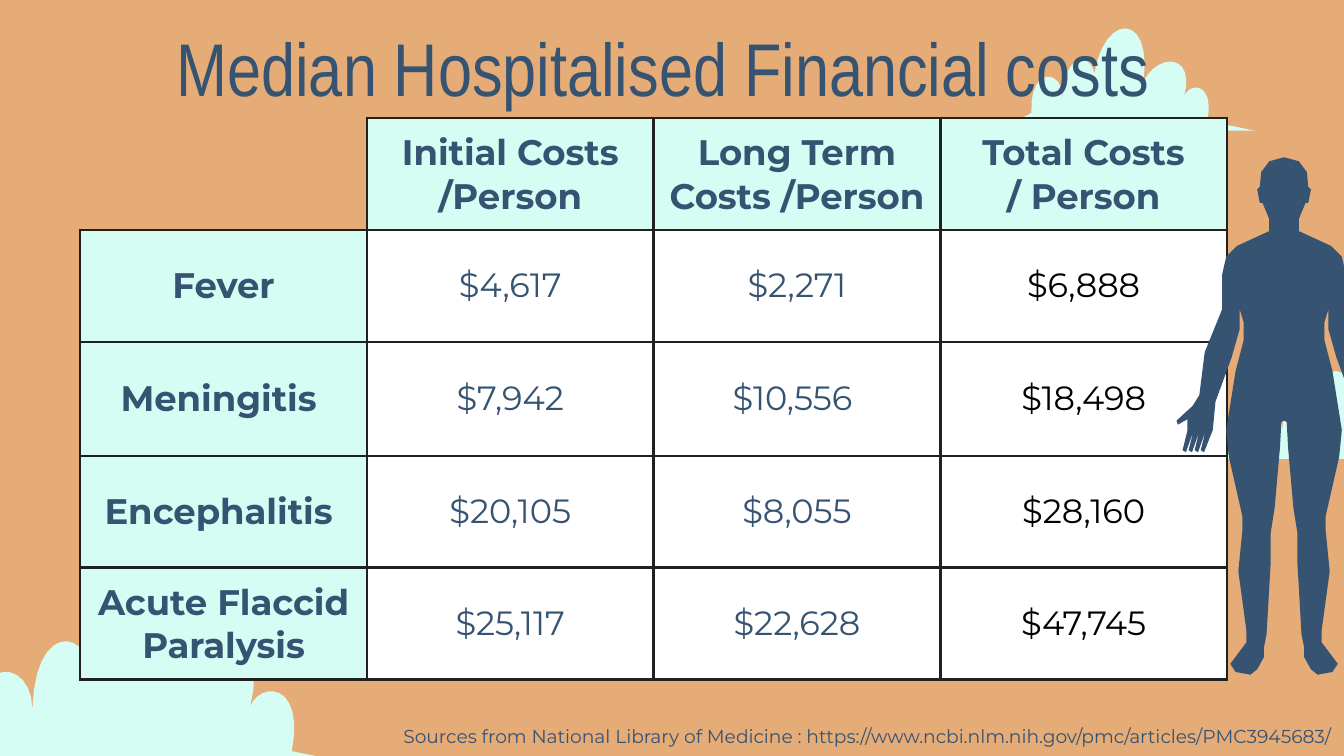
from lxml.etree import SubElement as Sub
from pptx import Presentation
from pptx.dml.color import RGBColor as RGB
from pptx.enum.text import MSO_ANCHOR as Anchor, PP_ALIGN as Align
from pptx.oxml.ns import qn
from pptx.util import Pt

THEME = {
    "sand": "E5AC77", "mint": "D6FDF4", "navy": "365372",
    "white": "FFFFFF", "black": "000000", "line": "212121",
    "head": "Arial Narrow", "body": "Montserrat",
    "title": 40, "label": 19, "value": 18, "note": 10,
}
TITLE = "Median Hospitalised Financial costs"
NOTE = ("Sources from National Library of Medicine : "
        "https://www.ncbi.nlm.nih.gov/pmc/articles/PMC3945683/")
ROWS = [
    ["", "Initial Costs\n/Person", "Long Term Costs /Person", "Total Costs\n/ Person"],
    ["Fever", "$4,617", "$2,271", "$6,888"],
    ["Meningitis ", "$7,942", "$10,556 ", "$18,498"],
    ["Encephalitis ", "$20,105", "$8,055", "$28,160"],
    ["Acute Flaccid Paralysis", "$25,117", "$22,628", "$47,745"],
]
TALL = [52.6, 59.8, 61.2, 59.8, 59.8]
WIDE = 153.6
PAD = Pt(7.2)

CLOUDS = [(648.7, 198.7, 126.7), (524.9, 15.1, 147.6), (-62.6, 313.2, 265)]
SPAN = 368
BASE = 137
DOMES = [
    (20, 132, 52, 124, 69, 113), (66, 50, 111, 55, 111, 93),
    (113, 28, 150, 35, 153, 61), (166, -20, 230, -23, 219, 70),
    (240, 32, 288, 35, 273, 91), (280, 72, 314, 72, 304, 124),
]

AXIS = 687.9
UNIT = 0.72
ARM = [
    (0, 117), (11, 120), (17, 128), (18, 139), (20, 141), (18, 151), (16, 151),
    (11, 163), (11, 172), (35, 183), (43, 191), (46, 204), (46, 230), (59, 262),
    (63, 294), (68, 302), (80, 313), (79, 316), (72, 312),
]
LEG = [
    (53, 320), (51, 299), (39, 266), (33, 245), (33, 230), (30, 240), (30, 253),
    (36, 276), (43, 320), (41, 340), (31, 384), (31, 395), (34, 425), (28, 469),
    (28, 478), (40, 494), (36, 500), (25, 502), (20, 498), (15, 489), (15, 482),
    (13, 472), (10, 420), (10, 397), (7, 378), (3, 333), (2, 314), (0, 313),
]
HAND = [(x - 4.5 * k, y) for k in range(4)
        for x, y in ((72, 321), (75.5, 335), (73, 336.5))]
HALF = ARM + HAND + LEG


def paint(fmt, key):
    fmt.solid()
    fmt.fore_color.rgb = RGB.from_string(THEME[key])


def bend(start, curves, steps=12):
    dots = [start]
    for ax, ay, bx, by, cx, cy in curves:
        px, py = dots[-1]
        for k in range(1, steps + 1):
            t = k / steps
            u = 1 - t
            mix = (u ** 3, 3 * u * u * t, 3 * u * t * t, t ** 3)
            dots.append((sum(m * v for m, v in zip(mix, (px, ax, bx, cx))),
                         sum(m * v for m, v in zip(mix, (py, ay, by, cy)))))
    return dots


def outline(slide, dots, left, top, scale, key):
    spots = [(Pt(left + x * scale), Pt(top + y * scale)) for x, y in dots]
    pen = slide.shapes.build_freeform(*spots[0])
    pen.add_line_segments(spots[1:], close=True)
    shape = pen.convert_to_shape()
    shape.shadow.inherit = False
    paint(shape.fill, key)
    shape.line.fill.background()


def inset(box):
    box.vertical_anchor = Anchor.MIDDLE
    box.margin_left = box.margin_right = PAD
    box.margin_top = box.margin_bottom = PAD


def write(frame, text, face, size, key="navy", align=Align.CENTER, bold=False):
    frame.word_wrap = True
    frame.text = text
    for para in frame.paragraphs:
        para.alignment = align
        para.font.name = THEME[face]
        para.font.size = Pt(THEME[size])
        para.font.bold = bold
        paint(para.font.fill, key)


def place(shape, *area):
    shape.left, shape.top, shape.width, shape.height = map(Pt, area)
    inset(shape.text_frame)
    return shape.text_frame


def border(cell, bare):
    props = cell._tc.get_or_add_tcPr()
    for n, side in enumerate(("lnL", "lnR", "lnT", "lnB")):
        edge = props.makeelement(qn("a:" + side), {"w": str(Pt(1.5))})
        props.insert(n, edge)
        if side in bare:
            Sub(edge, qn("a:noFill"))
        else:
            fill = Sub(edge, qn("a:solidFill"))
            Sub(fill, qn("a:srgbClr"), val=THEME["line"])


def grid(slide):
    table = slide.shapes.add_table(len(ROWS), len(ROWS[0]), Pt(43), Pt(63.3),
                                   Pt(WIDE * len(ROWS[0])), Pt(sum(TALL))).table
    table.first_row = table.horz_banding = False
    for col in table.columns:
        col.width = Pt(WIDE)
    for r, (row, tall) in enumerate(zip(ROWS, TALL)):
        table.rows[r].height = Pt(tall)
        for c, text in enumerate(row):
            cell = table.cell(r, c)
            label = r == 0 or c == 0
            inset(cell)
            write(cell.text_frame, text, "body", "label" if label else "value",
                  "black" if c == 3 and not label else "navy", bold=label)
            if text:
                paint(cell.fill, "mint" if label else "white")
            else:
                cell.fill.background()
            border(cell, () if text else ("lnL", "lnT"))


def main():
    deck = Presentation()
    deck.slide_width, deck.slide_height = Pt(720), Pt(405)
    slide = deck.slides.add_slide(deck.slide_layouts[5])
    paint(slide.background.fill, "sand")

    puff = bend((0, BASE), DOMES) + [(SPAN, BASE)]
    for left, top, width in CLOUDS:
        outline(slide, puff, left, top, width / SPAN, "mint")

    title = slide.shapes.title
    slide.shapes.element.append(title.element)
    write(place(title, 47.5, 5.8, 614.9, 59.8), TITLE, "head", "title")
    note = slide.shapes.add_textbox(0, 0, 0, 0)
    write(place(note, 0, 384, 720, 21), NOTE, "body", "note", align=Align.RIGHT)
    grid(slide)

    man = [(-x, y) for x, y in HALF] + HALF[-2:0:-1]
    outline(slide, man, AXIS, 0, UNIT, "navy")
    deck.save("out.pptx")


if __name__ == "__main__":
    main()
